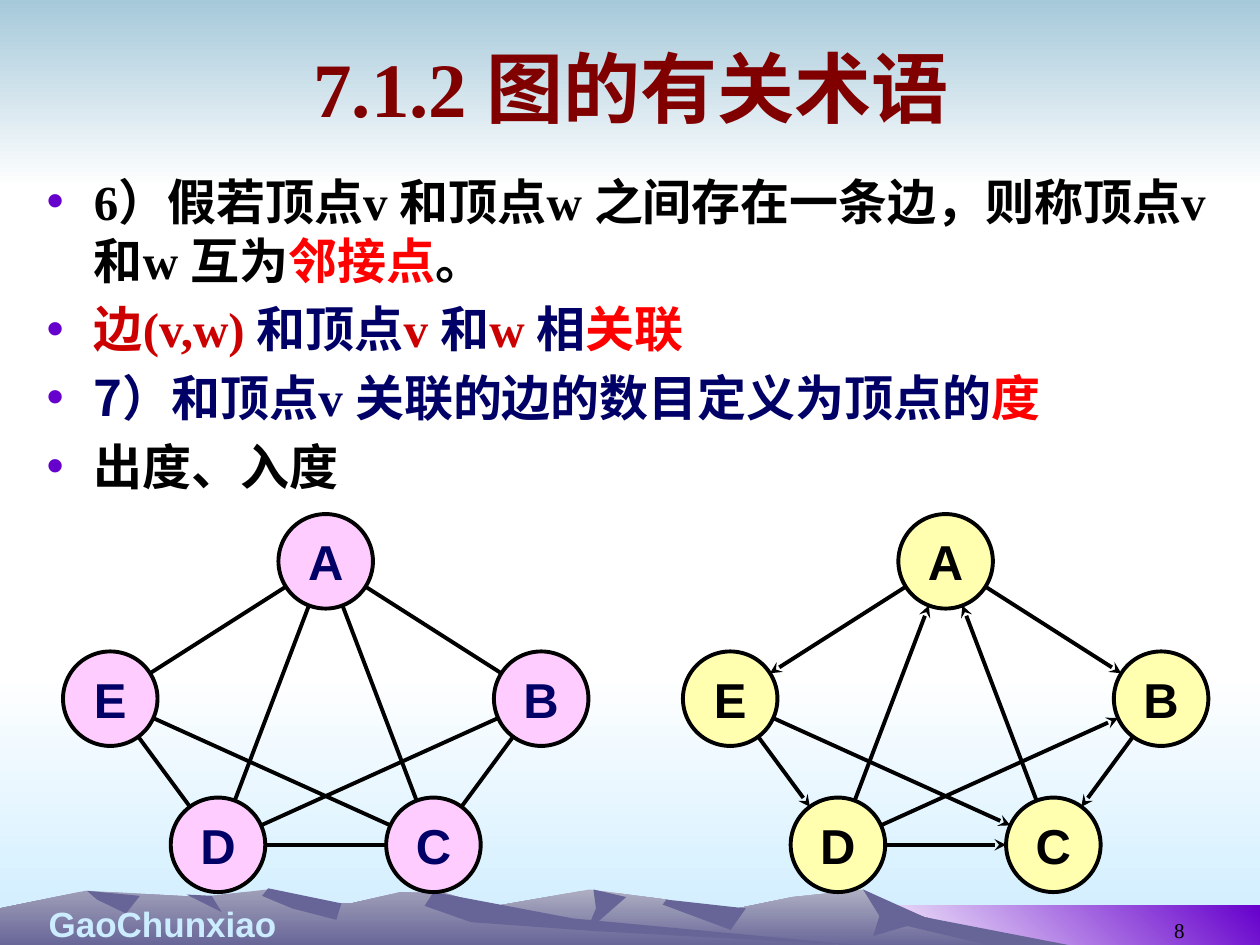
"""Build the slide on graph terminology with an undirected and a directed graph."""
from dataclasses import dataclass
from math import hypot
from typing import Optional

from lxml.etree import SubElement
from pptx import Presentation
from pptx.dml.color import RGBColor
from pptx.enum.shapes import MSO_CONNECTOR, MSO_SHAPE
from pptx.enum.text import MSO_ANCHOR, MSO_AUTO_SIZE, PP_ALIGN
from pptx.oxml.ns import qn
from pptx.util import Inches, Pt

SERIF, SANS, HAN = "Times New Roman", "Arial", "Noto Sans CJK SC"
BLACK, NAVY, CRIMSON, RED, ROCK = "000000", "000066", "CC0000", "FF0000", "676597"
NODE_SIZE, NODE_STEP = 0.75, 0.855
NODE_TOPS = {"E": 5.17, "D": 6.33, "A": 4.08, "C": 6.33, "B": 5.17}
EDGES = ("AE", "ED", "DC", "CA", "AB", "BC", "DA", "DB", "EC")


@dataclass
class Band:
    left: float
    top: float
    width: float
    height: float
    colors: tuple[str, str]
    angle: int = 270


@dataclass
class Ridge:
    points: list[tuple[float, float]]
    light: Optional[str] = None


@dataclass
class Span:
    text: str
    color: str
    font: str = HAN


@dataclass
class Graph:
    left: float
    fill: str
    ink: str
    directed: bool


BANDS = [
    Band(0, 5.33, 10, 2.17, ("FFFFFF", "CCECFF")),
    Band(0, 0, 10, 1.5, ("A6C9DA", "FFFFFF")),
    Band(6.83, 7.19, 3.17, 0.33, ("FFFFFF", "6600CC"), 45),
]
RIDGES = [
    Ridge([(2.58, 7.52), (3.94, 7.19), (4.68, 7.06), (5.29, 7.14), (5.66, 7.25), (6.29, 7.12),
           (6.85, 7.06), (7.23, 7.25), (8.21, 7.52)], "AEAEC2"),
    Ridge([(6.85, 7.06), (6.98, 7.27), (6.93, 7.43), (7.2, 7.35), (7.92, 7.52), (8.58, 7.52),
           (7.34, 7.28)]),
    Ridge([(4.71, 7.06), (4.73, 7.21), (4.65, 7.4), (4.97, 7.12)]),
    Ridge([(5.29, 7.14), (5.26, 7.18), (5.8, 7.38), (5.92, 7.21)]),
    Ridge([(0, 7.52), (0, 7.21), (0.68, 7.07), (1.6, 7.12), (2.12, 7.06), (2.36, 7.17),
           (2.79, 7.17), (3.18, 7.08), (3.54, 7.09), (4.32, 7.32), (6.9, 7.52)], "9F9EB8"),
    Ridge([(2.13, 7.05), (2.08, 7.11), (2.32, 7.21), (2.67, 7.3), (2.71, 7.17)]),
    Ridge([(3.44, 7.08), (3.37, 7.19), (3.74, 7.32), (4.72, 7.39), (6.9, 7.51), (4.55, 7.29)]),
    Ridge([(1.48, 7.1), (1.68, 7.11), (1.76, 7.24)]),
    Ridge([(0.69, 7.07), (0.77, 7.14), (1, 7.25), (1.11, 7.11)]),
]
TITLE = [Span("7.1.2 图的有关术语", "800000", SERIF)]
BULLETS = [
    [Span("6）假若顶点v 和顶点w 之间存在一条边，则称顶点v 和w 互为", BLACK, SERIF),
     Span("邻接点", RED, SERIF), Span("。", BLACK, SERIF)],
    [Span("边", CRIMSON), Span("(v,w) ", CRIMSON, SERIF), Span("和顶点", NAVY),
     Span("v ", CRIMSON, SERIF), Span("和", NAVY), Span("w ", CRIMSON, SERIF),
     Span("相", NAVY), Span("关联", RED)],
    [Span("7）和顶点", NAVY), Span("v ", NAVY, SERIF),
     Span("关联的边的数目定义为顶点的", NAVY), Span("度", RED)],
    [Span("出度、入度", BLACK)],
]
GRAPHS = [Graph(0.5, "FFCCFF", NAVY, False), Graph(5.42, "FFFFAF", BLACK, True)]


def rgb(color: str) -> RGBColor:
    return RGBColor.from_string(color)


def paint(shape, colors: tuple[str, ...], angle: int = 270) -> None:
    shape.shadow.inherit = False
    if len(colors) == 1:
        shape.fill.solid()
        shape.fill.fore_color.rgb = rgb(colors[0])
        return
    shape.fill.gradient()
    shape.fill.gradient_angle = angle
    for stop, color in zip(shape.fill.gradient_stops, colors):
        stop.color.rgb = rgb(color)


def draw_band(slide, band: Band) -> None:
    shape = slide.shapes.add_shape(MSO_SHAPE.RECTANGLE, Inches(band.left), Inches(band.top),
                                   Inches(band.width), Inches(band.height))
    paint(shape, band.colors, band.angle)
    shape.line.fill.background()


def draw_ridge(slide, ridge: Ridge) -> None:
    points = [(Inches(x), Inches(y)) for x, y in ridge.points]
    builder = slide.shapes.build_freeform(*points[0])
    builder.add_line_segments(points[1:], close=True)
    shape = builder.convert_to_shape()
    paint(shape, (ridge.light, ROCK) if ridge.light else (ROCK,))
    shape.line.fill.background()


def style(paragraph, size: int, font: str, color: str, bold: bool = True) -> None:
    paragraph.font.size, paragraph.font.bold = Pt(size), bold
    paragraph.font.name, paragraph.font.color.rgb = font, rgb(color)


def write_spans(paragraph, spans: list[Span], size: int) -> None:
    paragraph.font.size, paragraph.font.bold = Pt(size), True
    for span in spans:
        run = paragraph.add_run()
        run.text = span.text
        run.font.name, run.font.color.rgb = span.font, rgb(span.color)
        SubElement(run.font._element, qn("a:ea"), typeface=HAN)


def place(slide, holder, left: float, top: float, width: float, height: float):
    holder.left, holder.top = Inches(left), Inches(top)
    holder.width, holder.height = Inches(width), Inches(height)
    holder.text_frame.auto_size = MSO_AUTO_SIZE.NONE
    slide.shapes._spTree.append(holder._element)
    return holder.text_frame


def write_body(frame) -> None:
    for index, spans in enumerate(BULLETS):
        paragraph = frame.add_paragraph() if index else frame.paragraphs[0]
        bullet_color = SubElement(paragraph._p.get_or_add_pPr(), qn("a:buClr"))
        SubElement(bullet_color, qn("a:srgbClr"), val="6600CC")
        if index == 0:
            paragraph.space_before = Pt(0)
        write_spans(paragraph, spans, 28)


def add_label(slide, text: str, left: float, top: float, width: float, height: float):
    box = slide.shapes.add_textbox(Inches(left), Inches(top), Inches(width), Inches(height))
    box.text_frame.word_wrap = True
    box.text_frame.text = text
    return box.text_frame


def draw_edge(slide, start: tuple[float, float], end: tuple[float, float], arrow: bool) -> None:
    across, down = end[0] - start[0], end[1] - start[1]
    trim = NODE_SIZE / 2 / hypot(across, down)
    ends = [start[0] + across * trim, start[1] + down * trim,
            end[0] - across * trim, end[1] - down * trim]
    line = slide.shapes.add_connector(MSO_CONNECTOR.STRAIGHT, *map(Inches, ends))
    line.line.color.rgb, line.line.width = rgb(BLACK), Pt(2.25)
    if arrow:
        SubElement(line.line._get_or_add_ln(), qn("a:tailEnd"), type="stealth")
    SubElement(line._element.spPr, qn("a:effectLst"))


def draw_graph(slide, graph: Graph) -> None:
    radius = NODE_SIZE / 2
    centers = {name: (graph.left + column * NODE_STEP + radius, top + radius)
               for column, (name, top) in enumerate(NODE_TOPS.items())}
    for start, end in EDGES:
        draw_edge(slide, centers[start], centers[end], graph.directed)
    for name, (x, y) in centers.items():
        node = slide.shapes.add_shape(MSO_SHAPE.OVAL, Inches(x - radius), Inches(y - radius),
                                      Inches(NODE_SIZE), Inches(NODE_SIZE))
        paint(node, (graph.fill,))
        node.line.color.rgb, node.line.width = rgb(BLACK), Pt(2.25)
        frame = node.text_frame
        frame.word_wrap, frame.vertical_anchor = False, MSO_ANCHOR.MIDDLE
        frame.text = name
        frame.paragraphs[0].alignment = PP_ALIGN.CENTER
        style(frame.paragraphs[0], 28, SANS, graph.ink)


def main() -> None:
    deck = Presentation()
    deck.slide_width, deck.slide_height = Inches(10), Inches(7.5)
    page = deck.slides.add_slide(deck.slide_layouts[1])
    for band in BANDS:
        draw_band(page, band)
    for ridge in RIDGES:
        draw_ridge(page, ridge)
    author = add_label(page, "GaoChunxiao", 0, 7.11, 2.58, 0.44).paragraphs[0]
    author.alignment = PP_ALIGN.CENTER
    style(author, 20, SANS, "CCECFF")
    number = add_label(page, "8", 7.17, 7.03, 2.33, 0.5)
    number.vertical_anchor = MSO_ANCHOR.BOTTOM
    number.paragraphs[0].alignment = PP_ALIGN.RIGHT
    style(number.paragraphs[0], 12, SERIF, BLACK, bold=False)
    title = place(page, page.shapes.title, 0.51, 0.13, 9, 1.12)
    write_spans(title.paragraphs[0], TITLE, 44)
    write_body(place(page, page.placeholders[1], 0.27, 1.31, 9.45, 5.67))
    for graph in GRAPHS:
        draw_graph(page, graph)
    deck.save("out.pptx")


if __name__ == "__main__":
    main()
